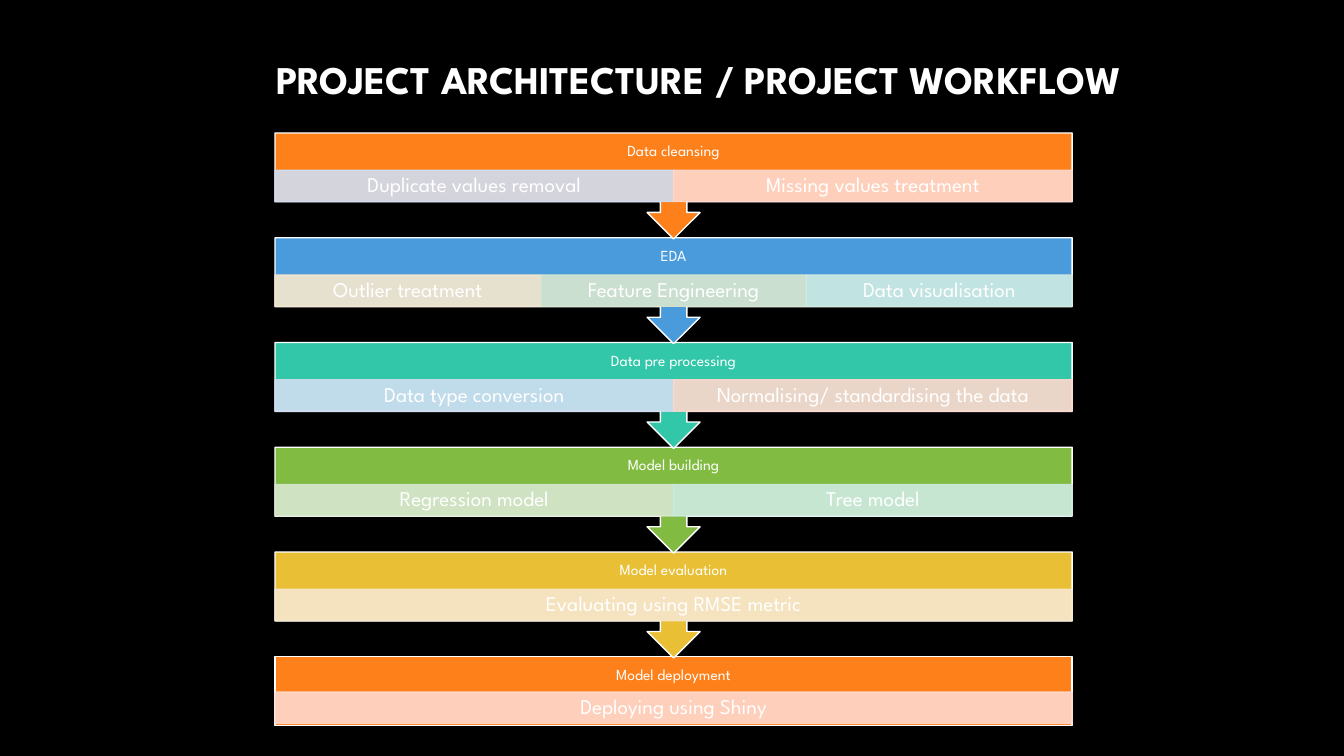
from pptx import Presentation
from pptx.dml.color import RGBColor
from pptx.enum.shapes import MSO_SHAPE
from pptx.enum.text import MSO_ANCHOR, PP_ALIGN
from pptx.oxml.xmlchemy import OxmlElement
from pptx.util import Cm, Pt

HUES = {
    "black": "000000", "white": "FFFFFF",
    "orange": "FE801A", "blue": "4A9BDC", "teal": "32C7A9",
    "green": "81BB42", "gold": "E9BF35",
    "peach": "FFD8CD", "sky": "D0DEF2", "mint": "CEEBE2",
    "sage": "D8E7CF", "cream": "F7E8CE",
}

# Heading, bar colour, and the tasks with their tints
STEPS = [
    ("Data cleansing", "orange", [("Duplicate values removal", "sky"),
                                  ("Missing values treatment", "peach")]),
    ("EDA", "blue", [("Outlier treatment", "cream"),
                     ("Feature Engineering", "sage"),
                     ("Data visualisation", "mint")]),
    ("Data pre processing", "teal", [("Data type conversion", "sky"),
                                     ("Normalising/ standardising the data", "peach")]),
    ("Model building", "green", [("Regression model", "sage"),
                                 ("Tree model", "mint")]),
    ("Model evaluation", "gold", [("Evaluating using RMSE metric", "cream")]),
    ("Model deployment", "orange", [("Deploying using Shiny", "peach")]),
]

LEFT, TOP, WIDTH = 6.93, 3.35, 20.09
PITCH = 2.64
HEAD, TASK = 0.94, 0.79
BLOCK, LAST = 2.67, 1.73


def rgb(hue):
    return RGBColor.from_string(HUES[hue])


def fade(fill, hue, alpha):
    """Set a solid fill whose opacity is alpha percent."""
    fill.solid()
    fill.fore_color.rgb = rgb(hue)
    if alpha < 100:
        node = OxmlElement("a:alpha")
        node.set("val", str(alpha * 1000))
        fill._xPr.find(".//{*}srgbClr").append(node)


def write(shape, text, size=15, bold=False, align=PP_ALIGN.CENTER,
          pad=(0.3, 0.05), font="League Spartan", hue="white"):
    frame = shape.text_frame
    frame.word_wrap = True
    frame.vertical_anchor = MSO_ANCHOR.MIDDLE
    frame.margin_left = frame.margin_right = Cm(pad[0])
    frame.margin_top = frame.margin_bottom = Cm(pad[1])
    para = frame.paragraphs[0]
    para.alignment = align
    para.line_spacing = 0.9
    run = para.add_run()
    run.text = text
    run.font.name = font
    run.font.size = Pt(size)
    run.font.bold = bold
    run.font.color.rgb = rgb(hue)


class Deck:
    def __init__(self):
        self.prs = Presentation()
        self.prs.slide_width, self.prs.slide_height = Cm(33.87), Cm(19.05)
        self.slide = self.prs.slides.add_slide(self.prs.slide_layouts[6])
        back = self.slide.background.fill
        back.solid()
        back.fore_color.rgb = rgb("black")

    def box(self, kind, area, hue, edge, alpha=100):
        shape = self.slide.shapes.add_shape(kind, *map(Cm, area))
        shape.shadow.inherit = False
        shape.line.width = Pt(1)
        fade(shape.fill, hue, alpha)
        fade(shape.line.fill, edge, alpha)
        return shape

    def label(self, area, text, **style):
        write(self.slide.shapes.add_textbox(*map(Cm, area)), text, **style)

    def step(self, top, name, hue, tasks, last):
        """Draw a heading bar, its arrow unless last, and its row of tasks."""
        kind = MSO_SHAPE.RECTANGLE if last else MSO_SHAPE.UP_ARROW_CALLOUT
        high = LAST if last else BLOCK
        bar = self.box(kind, (LEFT, top, WIDTH, high), hue, "white")
        bar.rotation = 0 if last else 180
        self.label((LEFT, top, WIDTH, HEAD), name, size=11, pad=(0.23, 0.23))
        wide = WIDTH / len(tasks)
        row = top + HEAD - (0.05 if last else 0)
        for col, (text, tint) in enumerate(tasks):
            area = (LEFT + col * wide, row, wide, TASK)
            cell = self.box(MSO_SHAPE.RECTANGLE, area, tint, tint, alpha=90)
            write(cell, text)


def main():
    deck = Deck()
    deck.label((4.8, 1.17, 23.7, 1.8), "PROJECT ARCHITECTURE / PROJECT WORKFLOW",
               size=28, bold=True, align=PP_ALIGN.RIGHT, pad=(0.25, 0.13))
    # The lowest step goes first so that each arrow tip lies on the next bar
    end = len(STEPS) - 1
    for rank in range(end, -1, -1):
        deck.step(TOP + rank * PITCH, *STEPS[rank], last=rank == end)
    deck.prs.save("out.pptx")


if __name__ == "__main__":
    main()
